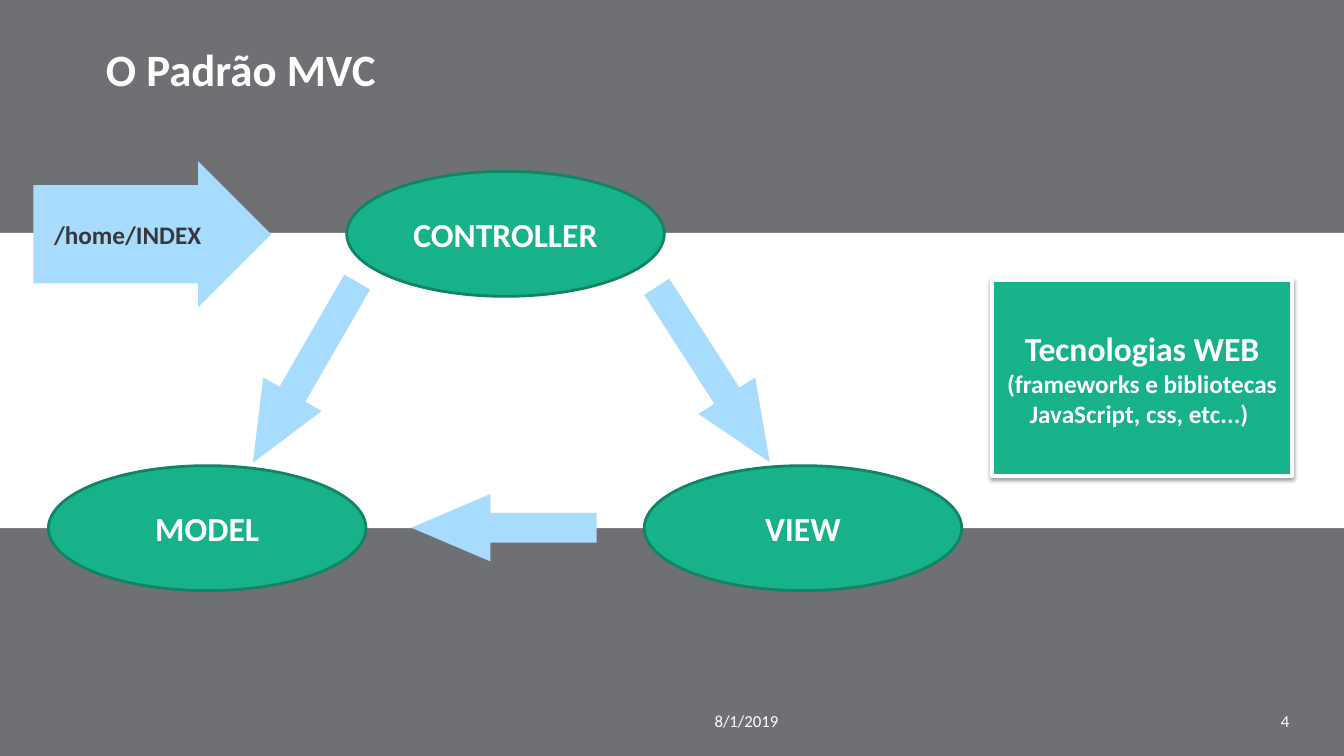
from dataclasses import dataclass

from lxml.etree import SubElement
from pptx import Presentation
from pptx.dml.color import RGBColor
from pptx.enum.shapes import MSO_SHAPE
from pptx.enum.text import MSO_ANCHOR, MSO_AUTO_SIZE, PP_ALIGN
from pptx.oxml.ns import qn
from pptx.shapes.autoshape import Shape
from pptx.slide import Slide
from pptx.text.text import TextFrame
from pptx.util import Emu, Inches, Pt

SLIDE_WIDTH, SLIDE_HEIGHT = Inches(13.33), Inches(7.5)


@dataclass(frozen=True)
class Theme:
    font: str = "Calibri"
    gray: str = "6E7073"
    white: str = "FFFFFF"
    green: str = "17B28A"
    dark_green: str = "118466"
    light_blue: str = "A7DCFE"
    ink: str = "373839"
    title_size: int = 32
    label_size: int = 24
    detail_size: int = 18
    footer_size: int = 12


THEME = Theme()


@dataclass(frozen=True)
class Area:
    """A box in percent of the slide's width and height."""
    left: float
    top: float
    width: float
    height: float

    def emu(self) -> tuple[Emu, Emu, Emu, Emu]:
        return (Emu(round(self.left * SLIDE_WIDTH / 100)),
                Emu(round(self.top * SLIDE_HEIGHT / 100)),
                Emu(round(self.width * SLIDE_WIDTH / 100)),
                Emu(round(self.height * SLIDE_HEIGHT / 100)))


@dataclass(frozen=True)
class Component:
    label: str
    left: float
    top: float


@dataclass(frozen=True)
class Flow:
    left: float
    top: float
    width: float
    rotation: float


COMPONENT_WIDTH, COMPONENT_HEIGHT = 23.63, 16.53
LOWER_ROW = 61.6
COMPONENTS = (
    Component("CONTROLLER", 25.8, 22.67),
    Component("MODEL", 3.6, LOWER_ROW),
    Component("VIEW", 47.93, LOWER_ROW),
)

FLOW_HEIGHT = 8.93
FLOWS = (
    Flow(45.3, 45.07, 15.53, 57.2),   # controller to view
    Flow(14.93, 44.8, 15.53, 120),    # controller to model
    Flow(30.6, 65.33, 13.8, 180),     # view to model
)

FOOTERS = (("8/1/2019", 43.88, PP_ALIGN.CENTER), ("4", 73.35, PP_ALIGN.RIGHT))


def write_text(frame: TextFrame, *runs: tuple[str, int], color: str = THEME.white,
               bold: bool = True, align: PP_ALIGN = PP_ALIGN.CENTER,
               anchor: MSO_ANCHOR = MSO_ANCHOR.MIDDLE) -> None:
    frame.word_wrap = True
    frame.auto_size = MSO_AUTO_SIZE.NONE
    frame.vertical_anchor = anchor
    paragraph = frame.paragraphs[0]
    paragraph.alignment = align
    for text, size in runs:
        run = paragraph.add_run()
        run.text = text
        run.font.name = THEME.font
        run.font.size = Pt(size)
        run.font.bold = bold
        run.font.color.rgb = RGBColor.from_string(color)


def draw_shape(slide: Slide, kind: MSO_SHAPE, area: Area, fill: str,
               line: str | None = None, line_width: float = 0) -> Shape:
    shape = slide.shapes.add_shape(kind, *area.emu())
    shape.shadow.inherit = False
    shape.fill.solid()
    shape.fill.fore_color.rgb = RGBColor.from_string(fill)
    if line:
        shape.line.color.rgb = RGBColor.from_string(line)
        shape.line.width = Pt(line_width)
    else:
        shape.line.fill.background()
    return shape


def draw_arrow(slide: Slide, area: Area, shaft: float, head: float,
               rotation: float = 0) -> Shape:
    arrow = draw_shape(slide, MSO_SHAPE.RIGHT_ARROW, area, THEME.light_blue)
    arrow.adjustments[0], arrow.adjustments[1] = shaft, head
    arrow.rotation = rotation
    return arrow


def add_drop_shadow(shape: Shape) -> None:
    effects = shape.element.spPr.find(qn("a:effectLst"))
    shadow = SubElement(effects, qn("a:outerShdw"), blurRad=str(Pt(3.1)),
                        dist=str(Pt(1.6)), dir="5400000", rotWithShape="0")
    black = SubElement(shadow, qn("a:srgbClr"), val="000000")
    SubElement(black, qn("a:alpha"), val="38000")


def main() -> None:
    presentation = Presentation()
    presentation.slide_width, presentation.slide_height = SLIDE_WIDTH, SLIDE_HEIGHT
    slide = presentation.slides.add_slide(presentation.slide_layouts[5])

    # Background and white band
    slide.background.fill.solid()
    slide.background.fill.fore_color.rgb = RGBColor.from_string(THEME.gray)
    draw_shape(slide, MSO_SHAPE.RECTANGLE, Area(0, 30.8, 100, 39.07), THEME.white)

    # Title
    title = slide.shapes.title
    title.left, title.top, title.width, title.height = Area(7.13, 4.8, 58.73, 8.13).emu()
    write_text(title.text_frame, ("O Padrão MVC", THEME.title_size),
               align=PP_ALIGN.LEFT, anchor=MSO_ANCHOR.TOP)

    # Date and slide number
    for text, left, align in FOOTERS:
        footer = slide.shapes.add_textbox(*Area(left, 92.67, 23.33, 5.33).emu())
        write_text(footer.text_frame, (text, THEME.footer_size), bold=False, align=align)

    # Web technologies card
    technologies = draw_shape(slide, MSO_SHAPE.RECTANGLE, Area(73.8, 37.07, 22.35, 25.87),
                              THEME.green, THEME.white, 3)
    add_drop_shadow(technologies)
    write_text(technologies.text_frame, ("Tecnologias WEB ", THEME.label_size),
               ("(frameworks e bibliotecas JavaScript, css, etc...) ", THEME.detail_size))

    # Model, view and controller
    for component in COMPONENTS:
        area = Area(component.left, component.top, COMPONENT_WIDTH, COMPONENT_HEIGHT)
        ellipse = draw_shape(slide, MSO_SHAPE.OVAL, area, THEME.green, THEME.dark_green, 2)
        write_text(ellipse.text_frame, (component.label, THEME.label_size))

    # Incoming request
    request = draw_arrow(slide, Area(2.48, 21.33, 17.7, 19.33), 0.672, 0.5)
    write_text(request.text_frame, ("/home/INDEX", THEME.detail_size), color=THEME.ink)

    # Flows between the components
    for flow in FLOWS:
        draw_arrow(slide, Area(flow.left, flow.top, flow.width, FLOW_HEIGHT),
                   0.442, 1.172, flow.rotation)

    presentation.save("out.pptx")


if __name__ == "__main__":
    main()
